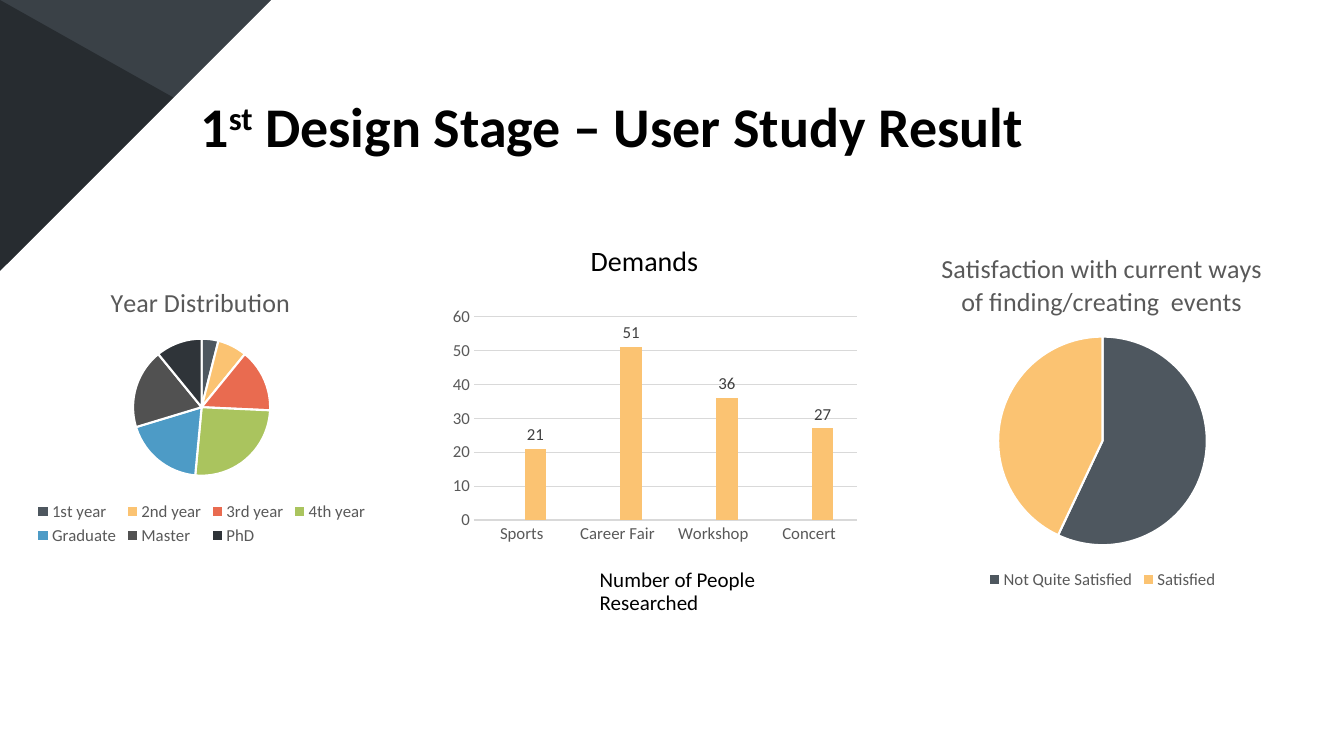
from dataclasses import dataclass

from pptx import Presentation
from pptx.chart.data import CategoryChartData
from pptx.dml.color import RGBColor
from pptx.enum.chart import XL_CHART_TYPE, XL_LABEL_POSITION, XL_LEGEND_POSITION, XL_TICK_MARK
from pptx.enum.shapes import MSO_SHAPE
from pptx.oxml import parse_xml
from pptx.oxml.ns import nsdecls, qn
from pptx.util import Inches, Pt


@dataclass(frozen=True)
class Theme:
    font: str = "Calibri"
    black: str = "000000"
    white: str = "FFFFFF"
    gray: str = "595959"
    label: str = "404040"
    grid: str = "D9D9D9"
    corner_dark: str = "272C30"
    background: str = "3A4147"
    accents: tuple = ("4E575F", "FBC372", "E96B50", "AAC45E", "4D9BC6", "515151", "2F3439")
    heading_size: float = 40
    chart_heading_size: float = 20
    pie_title_size: float = 18.6
    caption_size: float = 15
    chart_size: float = 12


THEME = Theme()


def rgb(color):
    return RGBColor.from_string(color)


def style_font(font, size, color, bold=False):
    font.name = THEME.font
    font.size = Pt(size)
    font.bold = bold
    font.color.rgb = rgb(color)


def add_text(slide, box, text, size, bold=False, superscript=""):
    """Add a text box; the superscript follows the first character of the text."""
    frame = slide.shapes.add_textbox(*map(Inches, box)).text_frame
    frame.word_wrap = True
    paragraph = frame.paragraphs[0]
    paragraph.line_spacing = 0.9
    pieces = [(text[0], False), (superscript, True), (text[1:], False)] if superscript else [(text, False)]
    for piece, raised in pieces:
        run = paragraph.add_run()
        run.text = piece
        style_font(run.font, size, THEME.black, bold)
        if raised:
            run.font._element.set("baseline", "30000")


def add_backdrop(slide, kind, size, adjustment, color, mirrored=False):
    """Cover the slide with a preset shape."""
    shape = slide.shapes.add_shape(kind, 0, 0, *size)
    shape.adjustments[0] = adjustment
    shape.shadow.inherit = False
    shape.fill.solid()
    shape.fill.fore_color.rgb = rgb(color)
    shape.line.fill.background()
    if mirrored:
        shape.element.spPr.find(qn("a:xfrm")).set("flipH", "1")


def place_in_chart(element, index, chart_box, left, top, size=None):
    """Fix a chart part at slide inches by its share of the chart box."""
    for layout in element.findall(qn("c:layout")):
        element.remove(layout)
    chart_left, chart_top, chart_width, chart_height = chart_box
    shares = {"x": (left - chart_left) / chart_width, "y": (top - chart_top) / chart_height}
    if size:
        shares.update(w=size[0] / chart_width, h=size[1] / chart_height)
    target = '<c:layoutTarget val="inner"/>' if size else ""
    modes = "".join(f'<c:{key}Mode val="edge"/>' for key in "xy")
    values = "".join(f'<c:{key} val="{share:.4f}"/>' for key, share in shares.items())
    element.insert(index, parse_xml(
        f'<c:layout {nsdecls("c")}><c:manualLayout>{target}{modes}{values}</c:manualLayout></c:layout>'))


def add_chart(slide, kind, box, categories, series, plot_box):
    data = CategoryChartData()
    data.categories = categories
    for name, values in series.items():
        data.add_series(name, values)
    chart = slide.shapes.add_chart(kind, *map(Inches, box), data).chart
    style_font(chart.font, THEME.chart_size, THEME.gray)
    left, top, width, height = plot_box
    place_in_chart(chart.element.find(".//" + qn("c:plotArea")), 0, box, left, top, (width, height))
    return chart


def add_pie(slide, box, title, title_at, values, plot_at, diameter):
    chart = add_chart(slide, XL_CHART_TYPE.PIE, box, list(values),
                      {"Series 1": list(values.values())}, (*plot_at, diameter, diameter))
    chart.has_title = True
    paragraph = chart.chart_title.text_frame.paragraphs[0]
    run = paragraph.add_run()
    run.text = title
    style_font(run.font, THEME.pie_title_size, THEME.gray)
    place_in_chart(chart.element.find(".//" + qn("c:title")), 1, box, *title_at)
    chart.has_legend = True
    chart.legend.position = XL_LEGEND_POSITION.BOTTOM
    chart.legend.include_in_layout = False
    style_font(chart.legend.font, THEME.chart_size, THEME.gray)
    for index, color in enumerate(THEME.accents[:len(values)]):
        point_format = chart.plots[0].series[0].points[index].format
        point_format.fill.solid()
        point_format.fill.fore_color.rgb = rgb(color)
        point_format.line.color.rgb = rgb(THEME.white)
        point_format.line.width = Pt(1.5)


def style_line(line):
    line.color.rgb = rgb(THEME.grid)
    line.width = Pt(0.75)


def add_demand_columns(slide, box, values, plot_box):
    series = {"Series 1": [None] * len(values), "Series 2": list(values.values())}
    chart = add_chart(slide, XL_CHART_TYPE.COLUMN_CLUSTERED, box, list(values), series, plot_box)
    chart.has_title = False
    chart.has_legend = False
    plot = chart.plots[0]
    plot.gap_width, plot.overlap, plot.vary_by_categories = 219, -27, False
    for column, color in zip(plot.series, THEME.accents):
        column.format.fill.solid()
        column.format.fill.fore_color.rgb = rgb(color)
        labels = column.data_labels
        labels.show_value = True
        labels.position = XL_LABEL_POSITION.OUTSIDE_END
        style_font(labels.font, THEME.chart_size, THEME.label)
    for axis in (chart.category_axis, chart.value_axis):
        axis.major_tick_mark = axis.minor_tick_mark = XL_TICK_MARK.NONE
        style_font(axis.tick_labels.font, THEME.chart_size, THEME.gray)
    style_line(chart.category_axis.format.line)
    value_axis = chart.value_axis
    value_axis.minimum_scale, value_axis.maximum_scale, value_axis.major_unit = 0, 60, 10
    value_axis.format.line.fill.background()
    style_line(value_axis.major_gridlines.format.line)


def main():
    presentation = Presentation()
    slide_size = Inches(13.33), Inches(7.5)
    presentation.slide_width, presentation.slide_height = slide_size
    slide = presentation.slides.add_slide(presentation.slide_layouts[6])
    slide.background.fill.solid()
    slide.background.fill.fore_color.rgb = rgb(THEME.background)

    add_backdrop(slide, MSO_SHAPE.ISOSCELES_TRIANGLE, slide_size, 0, THEME.corner_dark)
    add_backdrop(slide, MSO_SHAPE.SNIP_1_RECTANGLE, slide_size, 0.359, THEME.white, mirrored=True)

    add_text(slide, (1.89, 0.93, 8.82, 0.59), "1 Design Stage – User Study Result",
             THEME.heading_size, bold=True, superscript="st")
    add_pie(slide, (-0.09, 2.69, 4.18, 2.76), "Year Distribution", (1.05, 2.77),
            {"1st year": 4, "2nd year": 7, "3rd year": 15, "4th year": 26,
             "Graduate": 19, "Master": 19, "PhD": 11}, (1.32, 3.36), 1.36)
    add_pie(slide, (8.88, 2.33, 4.11, 3.56),
            "Satisfaction with current ways of finding/creating  events", (9.29, 2.44),
            {"Not Quite Satisfied": 57, "Satisfied": 43}, (9.9, 3.34), 2.07)
    add_demand_columns(slide, (4.41, 2.99, 4.18, 2.46),
                       {"Sports": 21, "Career Fair": 51, "Workshop": 36, "Concert": 27},
                       (4.7, 3.14, 3.8, 2.02))
    add_text(slide, (5.76, 2.4, 1.35, 0.59), "Demands", THEME.chart_heading_size)
    add_text(slide, (5.85, 5.6, 2.73, 0.59), "Number of People Researched", THEME.caption_size)
    presentation.save("out.pptx")


if __name__ == "__main__":
    main()
